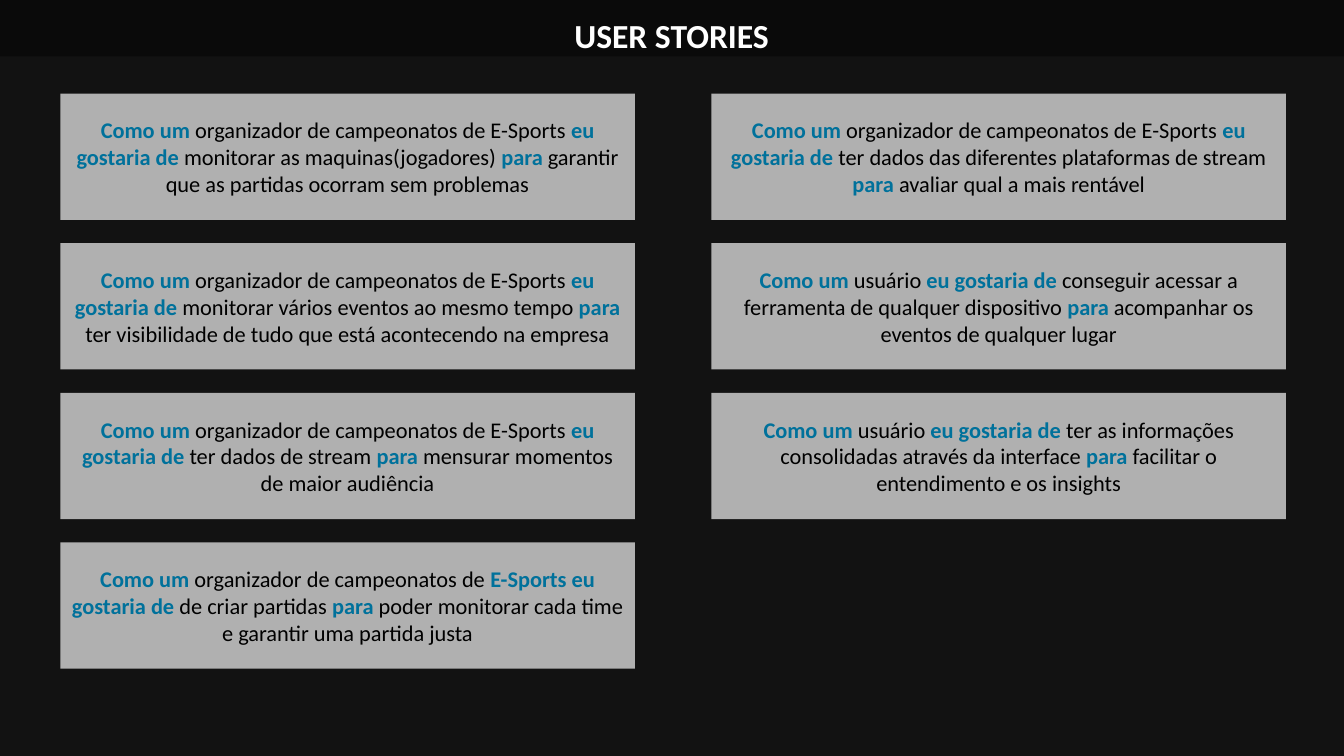
from dataclasses import dataclass

from lxml import etree
from pptx import Presentation
from pptx.dml.color import RGBColor
from pptx.enum.shapes import MSO_SHAPE
from pptx.enum.text import MSO_ANCHOR, MSO_AUTO_SIZE, PP_ALIGN
from pptx.oxml.ns import qn
from pptx.util import Cm, Pt

RECTANGLE = MSO_SHAPE.RECTANGLE
MIDDLE, TOP = MSO_ANCHOR.MIDDLE, MSO_ANCHOR.TOP
NO_AUTOFIT = MSO_AUTO_SIZE.NONE
CENTER = PP_ALIGN.CENTER

HEADING = "USER STORIES"
ROLE, ASK, GOAL = "Como um ", "eu gostaria de ", "para "
ORGANIZER = "organizador de campeonatos de E-Sports "
USER = "usuário "

STORY_COLUMNS = [
    [
        (ORGANIZER, ASK, "monitorar as maquinas(jogadores) ",
         "garantir que as partidas ocorram sem problemas"),
        (ORGANIZER, ASK, "monitorar vários eventos ao mesmo tempo ",
         "ter visibilidade de tudo que está acontecendo na empresa"),
        (ORGANIZER, ASK, "ter dados de stream ",
         "mensurar momentos de maior audiência"),
        ("organizador de campeonatos de ", "E-Sports " + ASK, "de criar partidas ",
         "poder monitorar cada time e garantir uma partida justa"),
    ],
    [
        (ORGANIZER, ASK, "ter dados das diferentes plataformas de stream ",
         "avaliar qual a mais rentável"),
        (USER, ASK, "conseguir acessar a ferramenta de qualquer dispositivo ",
         "acompanhar os eventos de qualquer lugar"),
        (USER, ASK, "ter as informações consolidadas através da interface ",
         "facilitar o entendimento e os insights"),
    ],
]


@dataclass(frozen=True)
class Theme:
    background: RGBColor = RGBColor(0x12, 0x12, 0x12)
    black: RGBColor = RGBColor(0, 0, 0)
    white: RGBColor = RGBColor(0xFF, 0xFF, 0xFF)
    accent: RGBColor = RGBColor(0x00, 0x71, 0x9B)
    font: str = "Calibri"
    heading_size: Pt = Pt(24)
    story_size: Pt = Pt(16)
    band_opacity: int = 40
    card_opacity: int = 67


THEME = Theme()
SLIDE_W, SLIDE_H = Cm(33.87), Cm(19.05)
BAND_H = Cm(1.42)
CARD_LEFT, CARD_TOP = Cm(1.52), Cm(2.36)
CARD_W, CARD_H = Cm(14.48), Cm(3.18)
COLUMN_STEP, ROW_STEP = Cm(16.41), Cm(3.77)


def add_panel(slide, left, top, width, height, color, opacity):
    panel = slide.shapes.add_shape(RECTANGLE, left, top, width, height)
    panel.shadow.inherit = False
    panel.line.fill.background()
    panel.fill.solid()
    panel.fill.fore_color.rgb = color
    tint = panel.element.spPr.find(qn("a:solidFill"))[0]
    etree.SubElement(tint, qn("a:alpha"), val=str(opacity * 1000))
    return panel


def add_heading(slide):
    heading = slide.shapes.title
    heading.left, heading.top = Cm(4.67), Cm(-0.25)
    heading.width, heading.height = Cm(24.51), Cm(1.78)
    frame = heading.text_frame
    frame.text = HEADING
    frame.word_wrap = True
    frame.auto_size = NO_AUTOFIT
    frame.vertical_anchor = TOP
    paragraph = frame.paragraphs[0]
    paragraph.alignment = CENTER
    paragraph.line_spacing = 1.5
    paragraph.space_before = Pt(0)
    paragraph.font.name = THEME.font
    paragraph.font.size = THEME.heading_size
    paragraph.font.bold = True
    paragraph.font.color.rgb = THEME.white
    band = add_panel(slide, 0, 0, SLIDE_W, BAND_H, THEME.black, THEME.band_opacity)
    heading.element.addprevious(band.element)


def add_story(slide, left, top, story):
    persona, ask, wish, benefit = story
    card = add_panel(slide, left, top, CARD_W, CARD_H, THEME.white, THEME.card_opacity)
    frame = card.text_frame
    frame.word_wrap = True
    frame.vertical_anchor = MIDDLE
    paragraph = frame.paragraphs[0]
    paragraph.alignment = CENTER
    paragraph.font.name = THEME.font
    paragraph.font.size = THEME.story_size
    for keyword, detail in ((ROLE, persona), (ask, wish), (GOAL, benefit)):
        for words, bold, color in ((keyword, True, THEME.accent), (detail, False, THEME.black)):
            run = paragraph.add_run()
            run.text = words
            run.font.bold = bold
            run.font.color.rgb = color


def main():
    deck = Presentation()
    deck.slide_width, deck.slide_height = SLIDE_W, SLIDE_H
    slide = deck.slides.add_slide(deck.slide_layouts.get_by_name("Title Only"))
    slide.background.fill.solid()
    slide.background.fill.fore_color.rgb = THEME.background
    add_heading(slide)
    for column, stories in enumerate(STORY_COLUMNS):
        for row, story in enumerate(stories):
            add_story(slide, CARD_LEFT + column * COLUMN_STEP, CARD_TOP + row * ROW_STEP, story)
    deck.save("out.pptx")


if __name__ == "__main__":
    main()
